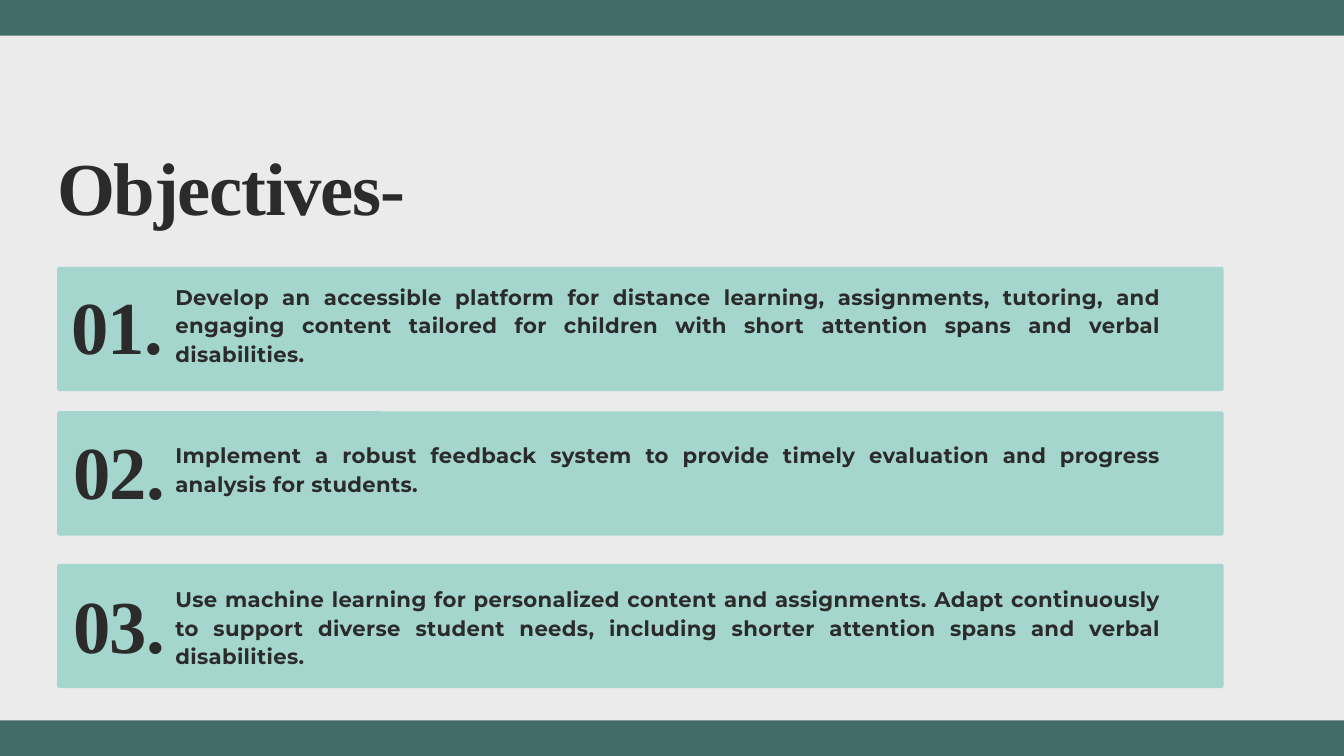
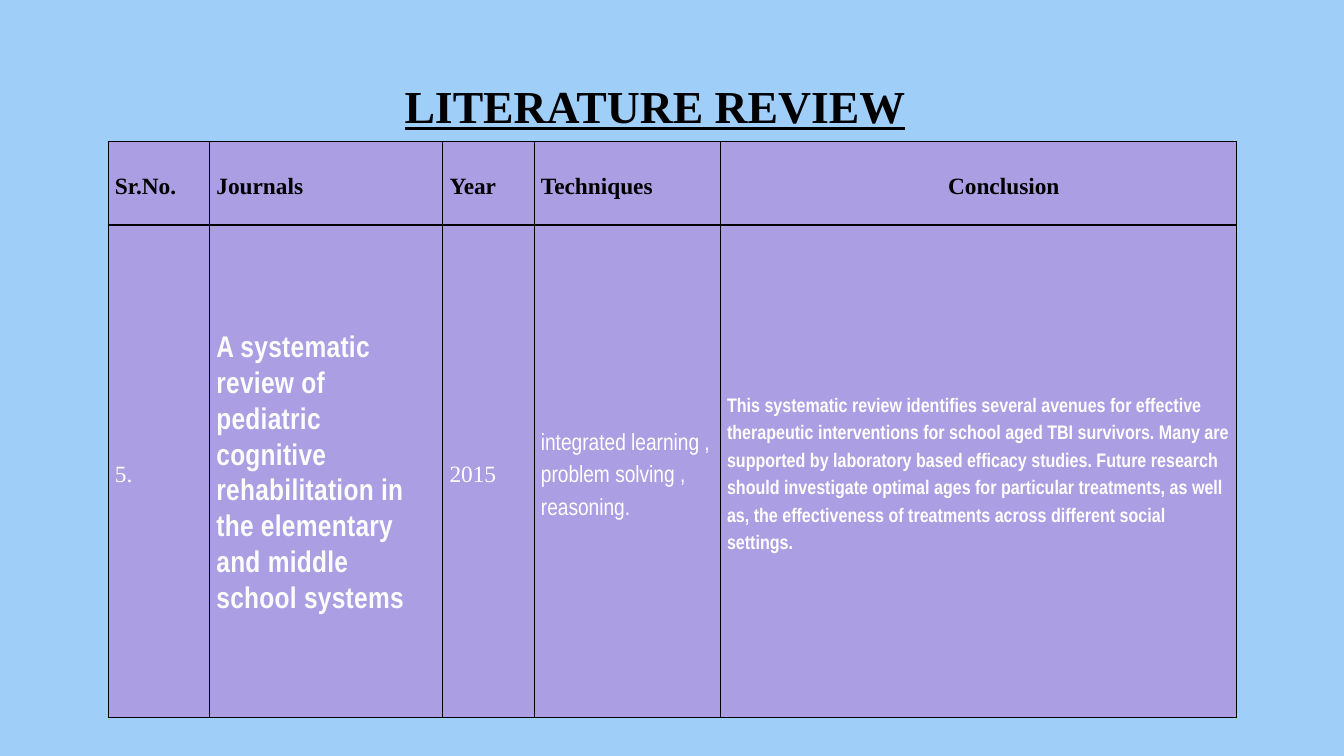
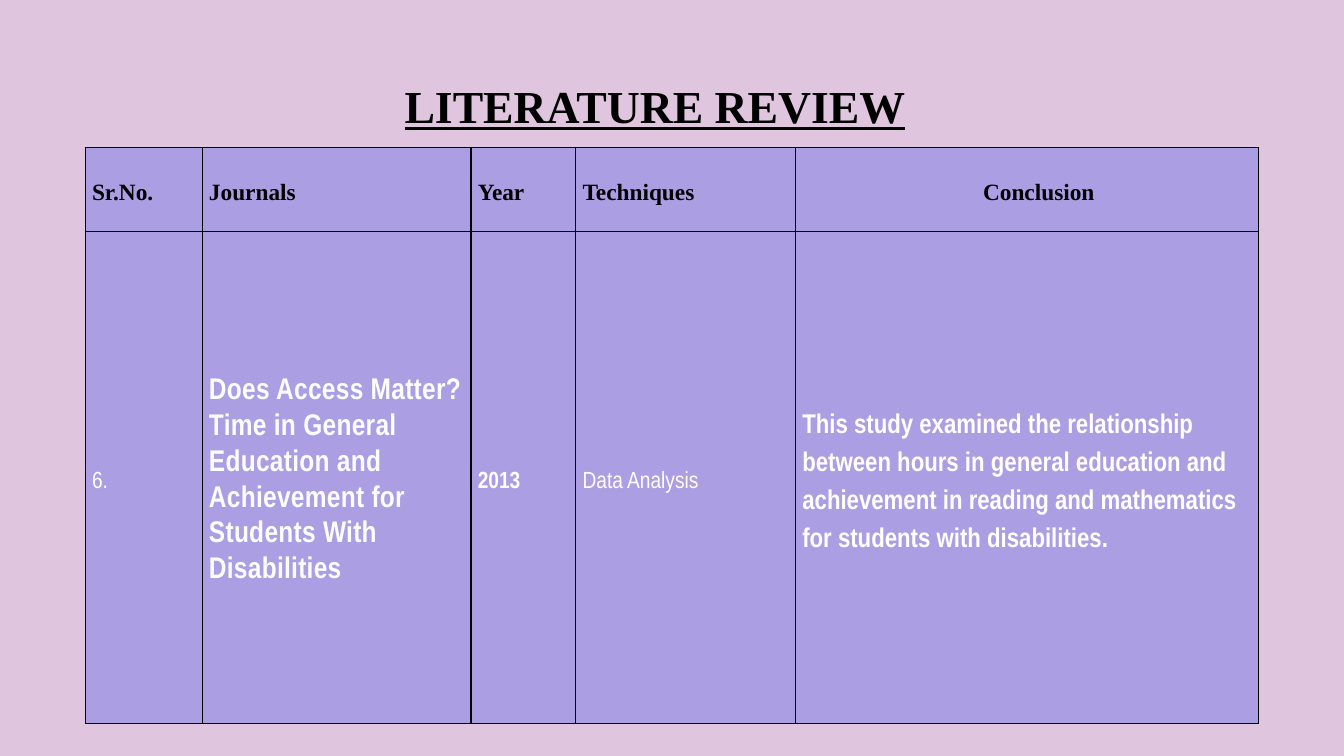
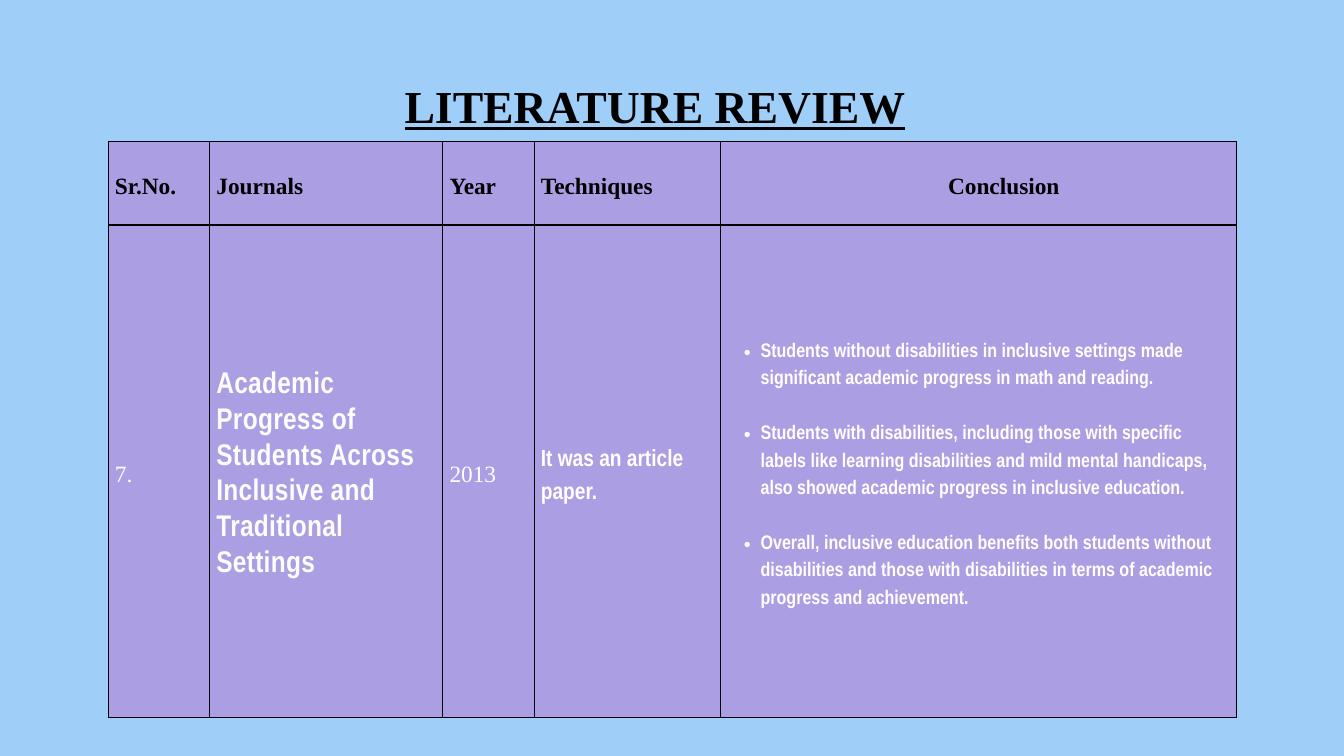
from dataclasses import dataclass, replace

from lxml.etree import SubElement
from pptx import Presentation
from pptx.dml.color import RGBColor
from pptx.enum.shapes import MSO_SHAPE as Shape
from pptx.enum.text import MSO_ANCHOR as Anchor, MSO_AUTO_SIZE as AutoSize, PP_ALIGN as Align
from pptx.oxml.ns import qn
from pptx.util import Pt

EMU_PER_PX = 9144  # 100 px to the inch

# Colours
GREY = RGBColor(0xEB, 0xEB, 0xEB)
BLUE = RGBColor(0x9F, 0xCF, 0xF9)
PINK = RGBColor(0xDF, 0xC6, 0xDE)
GREEN = RGBColor(0x42, 0x6C, 0x68)
MINT = RGBColor(0xA5, 0xD6, 0xCE)
PURPLE = RGBColor(0xAB, 0x9E, 0xE2)
INK = RGBColor(0x2B, 0x2B, 0x2B)
BLACK = RGBColor(0x00, 0x00, 0x00)
WHITE = RGBColor(0xFF, 0xFF, 0xFF)
OFF_WHITE = RGBColor(0xFB, 0xFD, 0xFC)

SERIF, NARROW, SANS = "Times New Roman", "Arial Narrow", "Montserrat"


@dataclass(frozen=True)
class TextStyle:
    size: float
    leading: float
    font: str = SERIF
    color: RGBColor = BLACK
    bold: bool = True
    underline: bool = False
    tracking: int = 0  # hundredths of a point
    align: Align = Align.LEFT


# Text styles
DISPLAY = TextStyle(80, 87.2, color=INK, tracking=-140)
OBJECTIVE = TextStyle(22.7, 30.7, SANS, INK, tracking=40, align=Align.JUSTIFY)
REVIEW_TITLE = TextStyle(49, 68.6, underline=True, align=Align.CENTER)
HEADER = TextStyle(25, 35)
PLAIN = TextStyle(25, 35, color=WHITE, bold=False)
PLAIN_NARROW = replace(PLAIN, font=NARROW)
BOLD_NARROW = replace(PLAIN_NARROW, bold=True)
JOURNAL = TextStyle(32, 38.4, NARROW, OFF_WHITE, tracking=30)
CONCLUSION = TextStyle(21, 29.4, NARROW, WHITE)
LARGE_CONCLUSION = replace(CONCLUSION, size=29, leading=40.6)


def px(value):
    return value * EMU_PER_PX


class Deck:
    def __init__(self):
        self.presentation = Presentation()
        self.presentation.slide_width = px(2000)
        self.presentation.slide_height = px(1125)
        self.slide = None

    def add_slide(self, background):
        layout = self.presentation.slide_layouts.get_by_name("Title Only")
        self.slide = self.presentation.slides.add_slide(layout)
        fill = self.slide.background.fill
        fill.solid()
        fill.fore_color.rgb = background

    def set_text(self, text_frame, text, style, bulleted=False):
        """Fill a text frame, one paragraph for each line of text."""
        text_frame.text = text
        text_frame.word_wrap = True
        for index, paragraph in enumerate(text_frame.paragraphs):
            if bulleted:
                self.bullet(paragraph)
                if index:
                    paragraph.space_before = Pt(style.leading)
            paragraph.alignment = style.align
            paragraph.line_spacing = Pt(style.leading)
            for run in paragraph.runs:
                font = run.font
                font.name, font.size = style.font, Pt(style.size)
                font.bold, font.underline = style.bold, style.underline
                font.color.rgb = style.color
                run._r.get_or_add_rPr().set("spc", str(style.tracking))

    def bullet(self, paragraph):
        properties = paragraph._p.get_or_add_pPr()
        properties.set("marL", str(px(50)))
        properties.set("indent", str(px(-25)))
        SubElement(properties, qn("a:buFont"), typeface="Arial")
        SubElement(properties, qn("a:buChar"), char="•")

    def place(self, shape, box):
        shape.left, shape.top, shape.width, shape.height = map(px, box)

    def frame(self, shape, text, style):
        text_frame = shape.text_frame
        text_frame.margin_left = text_frame.margin_right = 0
        text_frame.margin_top = text_frame.margin_bottom = 0
        text_frame.vertical_anchor = Anchor.TOP
        text_frame.auto_size = AutoSize.NONE
        self.set_text(text_frame, text, style)

    def title(self, text, box, style):
        shape = self.slide.shapes.title
        self.place(shape, box)
        self.frame(shape, text, style)

    def text(self, text, box, style):
        self.frame(self.slide.shapes.add_textbox(*map(px, box)), text, style)

    def panel(self, box, color, corner=0):
        kind = Shape.ROUNDED_RECTANGLE if corner else Shape.RECTANGLE
        shape = self.slide.shapes.add_shape(kind, *map(px, box))
        if corner:
            shape.adjustments[0] = corner
        shape.shadow.inherit = False
        shape.fill.solid()
        shape.fill.fore_color.rgb = color
        shape.line.fill.background()

    def bands(self):
        for top in (-74, 1072):
            self.panel((-131, top, 2263, 127), GREEN)

    def cell(self, cell, text, style, bulleted=False):
        cell.margin_left = cell.margin_right = px(10)
        cell.margin_top = cell.margin_bottom = px(10)
        cell.vertical_anchor = Anchor.MIDDLE
        properties = cell._tc.get_or_add_tcPr()
        for side in ("a:lnL", "a:lnR", "a:lnT", "a:lnB"):
            line = SubElement(properties, qn(side), w=str(Pt(1.5)))
            fill = SubElement(line, qn("a:solidFill"))
            SubElement(fill, qn("a:srgbClr"), val=str(BLACK))
        cell.fill.solid()
        cell.fill.fore_color.rgb = PURPLE
        self.set_text(cell.text_frame, text, style, bulleted)

    def review_table(self, left, top, widths, heading_inset, entries):
        """Draw the header row and one row of (text, style) entries."""
        headings = ["Sr.No.", "Journals", "Year", "Techniques", "Conclusion"]
        heights = (124, 733)
        graphic = self.slide.shapes.add_table(
            2, len(widths), px(left), px(top), px(sum(widths)), px(sum(heights)))
        table = graphic.table
        table.first_row = table.horz_banding = False
        for row, height in zip(table.rows, heights):
            row.height = px(height)
        for index, width in enumerate(widths):
            table.columns[index].width = px(width)
            self.cell(table.cell(0, index), headings[index], HEADER)
            text, style = entries[index]
            self.cell(table.cell(1, index), text, style, bulleted="\n" in text)
        table.cell(0, len(widths) - 1).margin_left = px(heading_inset)

    def review_slide(self, background, layout, entries):
        self.add_slide(background)
        self.title("LITERATURE REVIEW", (581, 102, 787, 92), REVIEW_TITLE)
        self.review_table(*layout, entries)


# Objectives: card top, number box, text top, text height, text
OBJECTIVES = [
    (397, (107, 428, 151, 126), 418, 151,
     "Develop an accessible platform for distance learning, assignments, tutoring, and "
     "engaging content tailored for children with short attention spans and verbal "
     "disabilities."),
    (612, (110, 645, 151, 126), 654, 110,
     "Implement a robust feedback system to provide timely evaluation and progress "
     "analysis for students."),
    (839, (110, 873, 151, 126), 868, 123,
     "Use machine learning for personalized content and assignments. Adapt continuously "
     "to support diverse student needs, including shorter attention spans and verbal "
     "disabilities."),
]

# Table layouts: left, top, column widths, inset of the last heading
WIDE_CONCLUSION = (161, 211, (151, 347, 136, 277, 768), 339)
WIDE_JOURNAL = (127, 220, (174, 400, 156, 327, 689), 279)

# Literature reviews: background, table layout, row entries
REVIEWS = [
    (BLUE, WIDE_CONCLUSION, [
        ("5.", PLAIN),
        ("A systematic review of pediatric cognitive rehabilitation in the elementary and "
         "middle school systems", JOURNAL),
        ("2015", PLAIN),
        ("integrated learning , problem solving , reasoning.", PLAIN_NARROW),
        ("This systematic review identifies several avenues for effective therapeutic "
         "interventions for school aged TBI survivors. Many are supported by laboratory "
         "based efficacy studies. Future research should investigate optimal ages for "
         "particular treatments, as well as, the effectiveness of treatments across "
         "different social settings.", CONCLUSION),
    ]),
    (PINK, WIDE_JOURNAL, [
        ("6.", PLAIN_NARROW),
        ("Does Access Matter? Time in General Education and Achievement for Students "
         "With Disabilities", JOURNAL),
        ("2013", BOLD_NARROW),
        ("Data Analysis", PLAIN_NARROW),
        ("This study examined the relationship between hours in general education and "
         "achievement in reading and mathematics for students with disabilities.",
         LARGE_CONCLUSION),
    ]),
    (BLUE, WIDE_CONCLUSION, [
        ("7.", PLAIN),
        ("Academic Progress of Students Across Inclusive and Traditional Settings", JOURNAL),
        ("2013", PLAIN),
        ("It was an article paper.", BOLD_NARROW),
        ("Students without disabilities in inclusive settings made significant academic "
         "progress in math and reading.\n"
         "Students with disabilities, including those with specific labels like learning "
         "disabilities and mild mental handicaps, also showed academic progress in "
         "inclusive education.\n"
         "Overall, inclusive education benefits both students without disabilities and "
         "those with disabilities in terms of academic progress and achievement.",
         CONCLUSION),
    ]),
]


def main():
    deck = Deck()

    # Objectives slide
    deck.add_slide(GREY)
    deck.bands()
    deck.title("Objectives-", (85, 222, 888, 126), DISPLAY)
    for number, (card_top, number_box, top, height, text) in enumerate(OBJECTIVES, 1):
        deck.panel((85, card_top, 1736, 185), MINT, corner=0.02)
        deck.text(f"{number:02}.", number_box, DISPLAY)
        deck.text(text, (261, top, 1467, height), OBJECTIVE)

    # Literature review slides
    for background, layout, entries in REVIEWS:
        deck.review_slide(background, layout, entries)

    deck.presentation.save("out.pptx")


if __name__ == "__main__":
    main()
